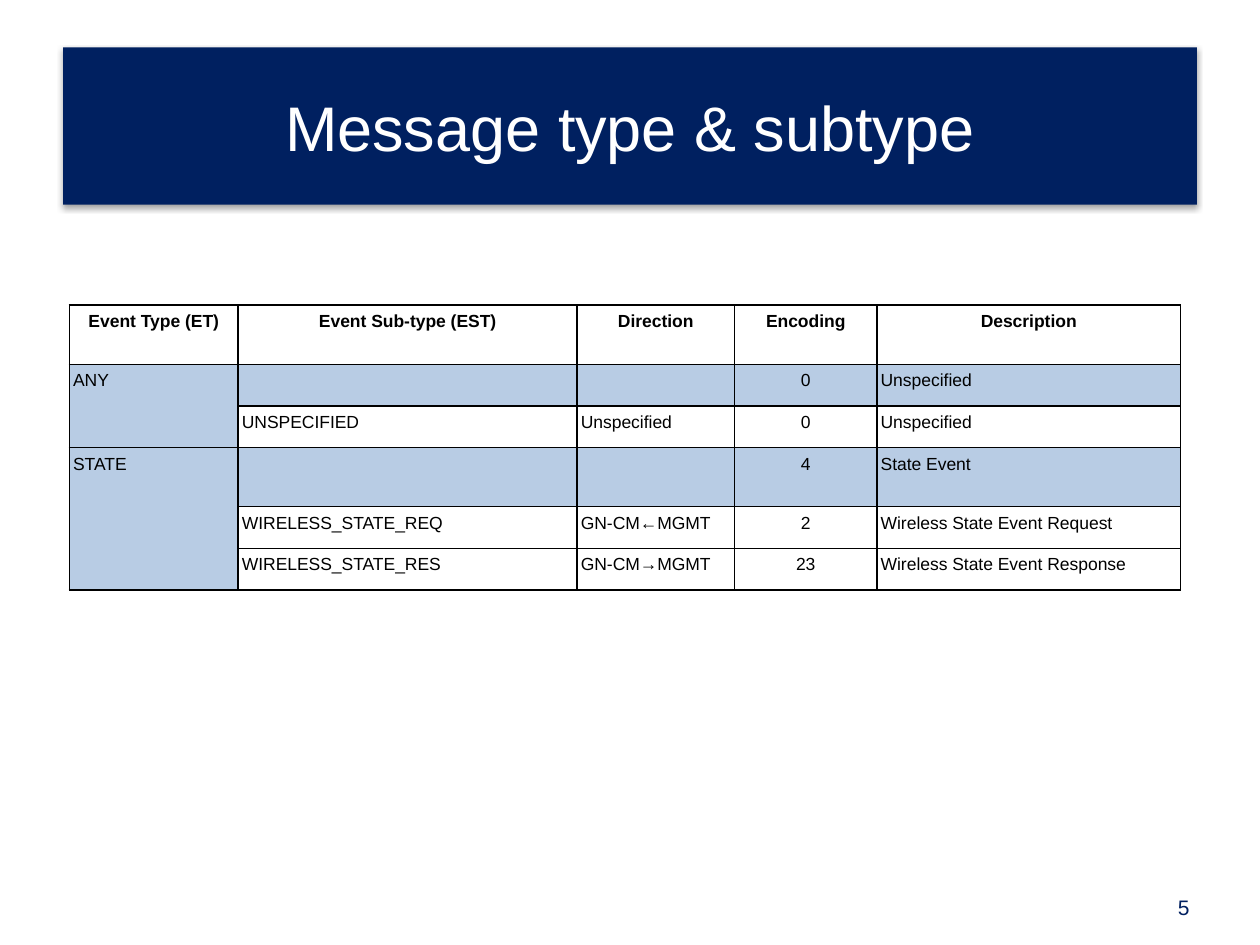
from lxml import etree
from pptx import Presentation
from pptx.dml.color import RGBColor
from pptx.enum.text import MSO_ANCHOR, PP_ALIGN
from pptx.oxml.ns import qn
from pptx.util import Inches, Pt

LEFT, CENTER = PP_ALIGN.LEFT, PP_ALIGN.CENTER
MIDDLE = MSO_ANCHOR.MIDDLE
WIDTH, HEIGHT = 10, 7.5
NAVY, PALE, BLACK, WHITE = "002060", "B8CCE4", "000000", "FFFFFF"

COLUMNS = [1.34, 2.69, 1.25, 1.13, 2.41]
TALL, SHORT = 0.47, 0.33
ROWS = [TALL, SHORT, SHORT, TALL, SHORT, SHORT]
EVENTS = [
    ["Event Type (ET)", "Event Sub-type (EST)", "Direction", "Encoding", "Description"],
    ["ANY", "", "", "0", "Unspecified"],
    ["", "UNSPECIFIED", "Unspecified", "0", "Unspecified"],
    ["STATE", "", "", "4", "State Event"],
    ["", "WIRELESS_STATE_REQ", "GN-CM←MGMT", "2", "Wireless State Event Request"],
    ["", "WIRELESS_STATE_RES", "GN-CM→MGMT", "23", "Wireless State Event Response"],
]
GROUPS = [(1, 2), (3, 5)]
ENCODING = 3


def color(value):
    return RGBColor.from_string(value)


def write(frame, text, size=10, ink=BLACK, font="Arial", bold=False, align=LEFT, spacing=1.0):
    para = frame.paragraphs[0]
    para.alignment = align
    para.line_spacing = spacing
    if not text:
        etree.SubElement(para._p, qn("a:endParaRPr"), sz=str(size * 100))
        return
    span = para.add_run()
    span.text = text
    span.font.name = font
    span.font.size = Pt(size)
    span.font.bold = bold
    span.font.color.rgb = color(ink)


class Page:
    def __init__(self, deck):
        self.slide = deck.slides.add_slide(deck.slide_layouts[5])

    def place(self, x, y, width, height):
        return (Inches(x * WIDTH), Inches(y * HEIGHT),
                Inches(width * WIDTH), Inches(height * HEIGHT))

    def title(self, text, *area):
        box = self.slide.shapes.title
        box.left, box.top, box.width, box.height = self.place(*area)
        box.fill.solid()
        box.fill.fore_color.rgb = color(NAVY)
        self.shade(box)
        box.text_frame.vertical_anchor = MIDDLE
        write(box.text_frame, text, size=36, ink=WHITE, align=CENTER)

    def shade(self, box):
        effects = etree.SubElement(box._element.spPr, qn("a:effectLst"))
        shadow = etree.SubElement(effects, qn("a:outerShdw"), blurRad=str(Pt(3.1)),
                                  dist=str(Pt(1.8)), dir="5400000", rotWithShape="0")
        tint = etree.SubElement(shadow, qn("a:srgbClr"), val=BLACK)
        etree.SubElement(tint, qn("a:alpha"), val="35000")

    def label(self, text, *area, **style):
        box = self.slide.shapes.add_textbox(*self.place(*area))
        box.text_frame.word_wrap = True
        write(box.text_frame, text, **style)

    def table(self, content, columns, rows, groups, x, y):
        area = self.place(x, y, sum(columns) / WIDTH, sum(rows) / HEIGHT)
        grid = self.slide.shapes.add_table(len(rows), len(columns), *area).table
        grid.first_row = grid.horz_banding = False
        for column, width in zip(grid.columns, columns):
            column.width = Inches(width)
        for row, height in zip(grid.rows, rows):
            row.height = Inches(height)
        starts = [first for first, last in groups]
        for i, line in enumerate(content):
            for j, text in enumerate(line):
                header = i == 0
                shaded = i in starts or (j == 0 and not header)
                align = CENTER if header or j == ENCODING else LEFT
                self.cell(grid.cell(i, j), text, shaded, bold=header, align=align)
        for first, last in groups:
            grid.cell(first, 0).merge(grid.cell(last, 0))

    def cell(self, cell, text, shaded, **style):
        cell.margin_left = cell.margin_right = Inches(0.03)
        cell.margin_top = cell.margin_bottom = Inches(0.03)
        properties = cell._tc.get_or_add_tcPr()
        for side in ("lnL", "lnR", "lnT", "lnB"):
            border = etree.SubElement(properties, qn(f"a:{side}"), w=str(Pt(1)))
            fill = etree.SubElement(border, qn("a:solidFill"))
            etree.SubElement(fill, qn("a:srgbClr"), val=BLACK)
        if shaded:
            cell.fill.solid()
            cell.fill.fore_color.rgb = color(PALE)
        else:
            cell.fill.background()
        write(cell.text_frame, text, spacing=1.15, **style)


def main():
    deck = Presentation()
    deck.slide_width, deck.slide_height = Inches(WIDTH), Inches(HEIGHT)
    page = Page(deck)
    page.label("5", 0.925, 0.94, 0.055, 0.04, size=12, ink=NAVY)
    page.title("Message type & subtype", 0.05, 0.05, 0.9, 1 / 6)
    page.table(EVENTS, COLUMNS, ROWS, GROUPS, 0.055, 0.323)
    deck.save("out.pptx")


if __name__ == "__main__":
    main()
